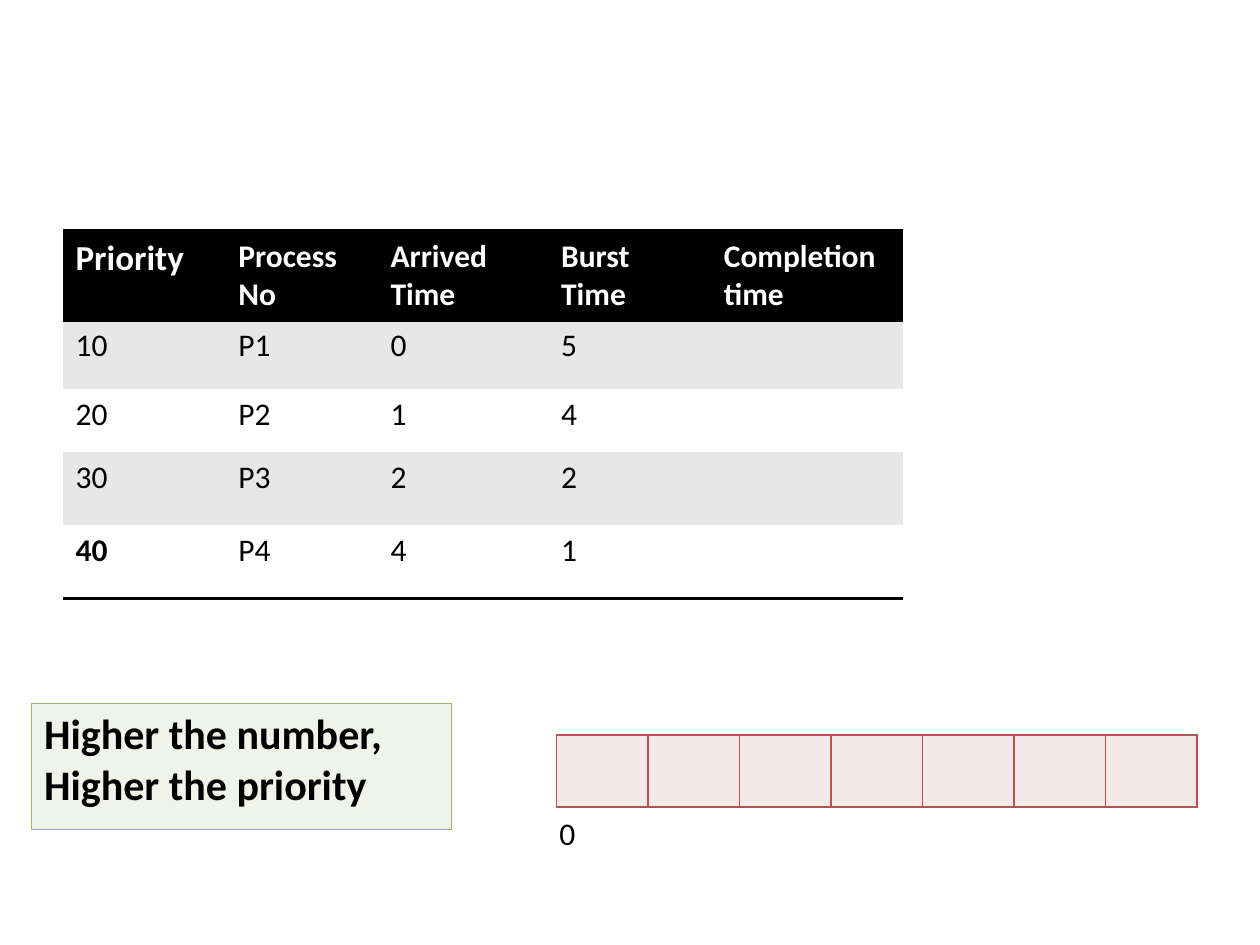
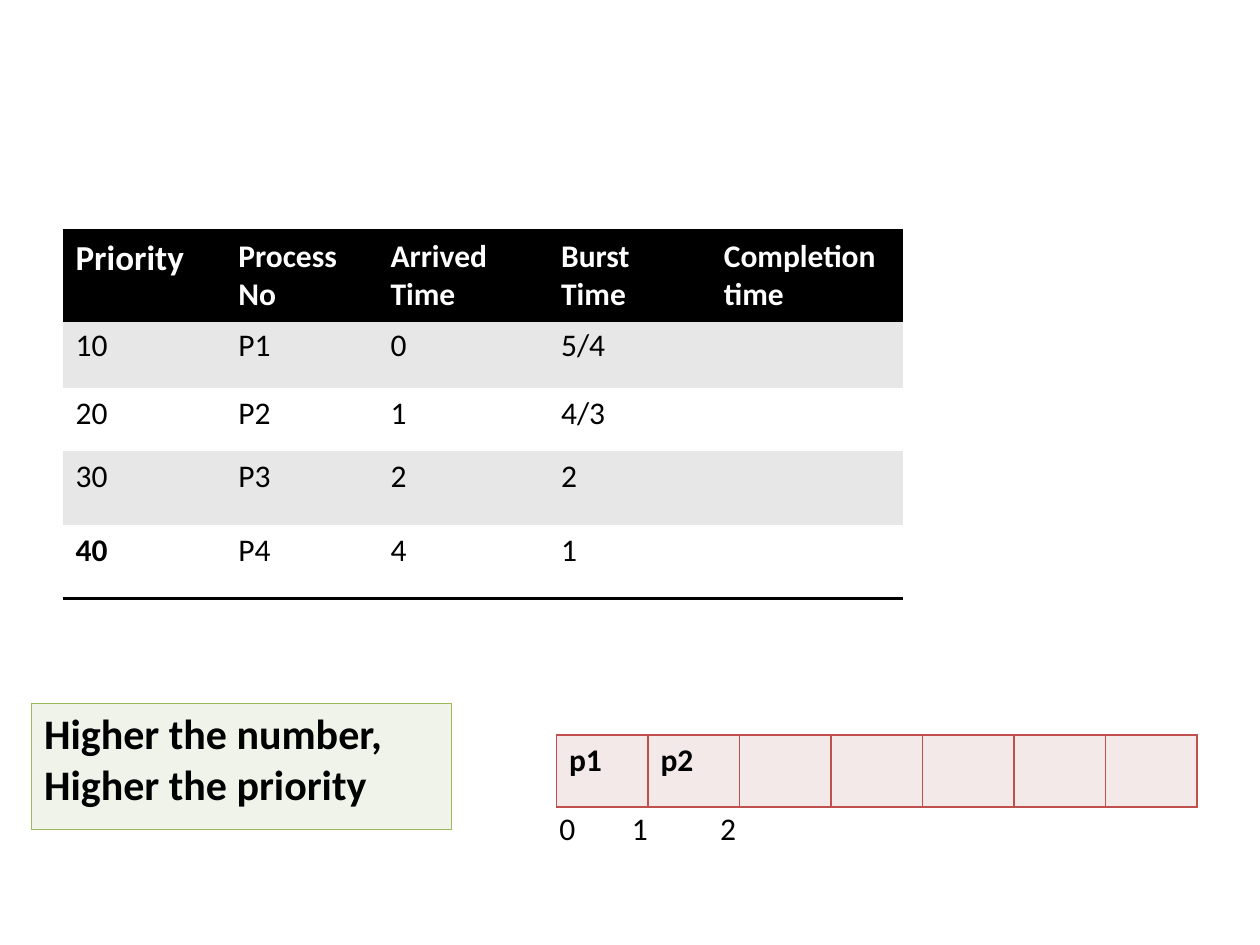
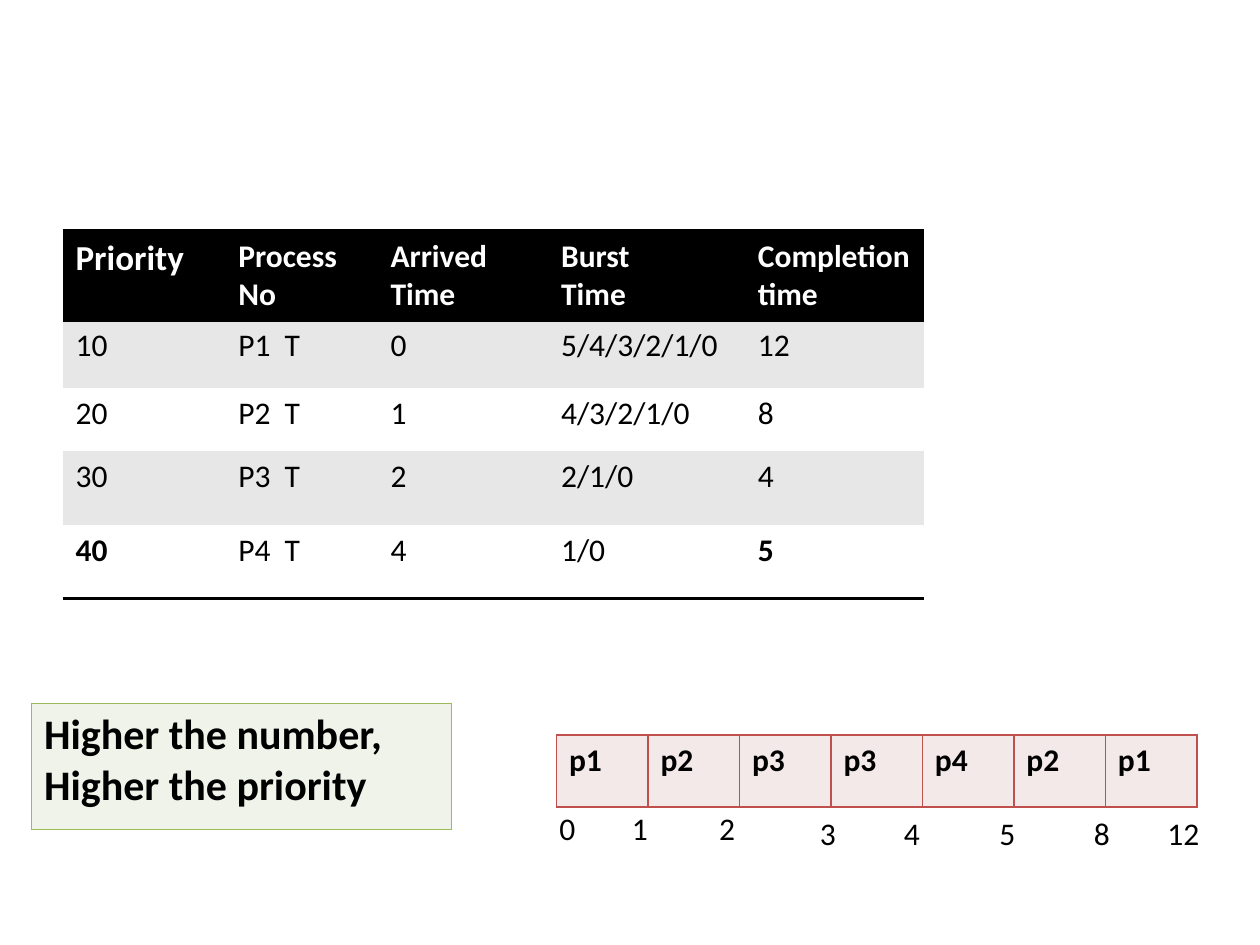
"""Build three slides that step through priority scheduling on a 120 by 90 grid."""
from dataclasses import dataclass

from lxml.etree import SubElement
from pptx import Presentation
from pptx.dml.color import RGBColor
from pptx.enum.text import MSO_AUTO_SIZE
from pptx.oxml.ns import qn
from pptx.util import Inches, Pt


@dataclass(frozen=True)
class Theme:
    font: str = "Calibri"
    ink: str = "000000"
    paper: str = "FFFFFF"
    band: str = "E7E7E7"
    note: str = "EFF3EA"
    note_edge: str = "9BBB59"
    slot: str = "F4E9E9"
    slot_edge: str = "C0504D"
    text: int = 18
    head: int = 20
    large: int = 24
    rule: int = 2
    thin: int = 1


THEME = Theme()
PLAIN = "{2D5ABB26-0587-4C30-8999-92F81FD0307C}"
ROWS = (8.5, 6.5, 6, 7, 7)
WIDE = (15.5, 14.5, 16.25, 15.5, 18.25)
FULL = (15.5, 14.5, 16.25, 18.75, 17)
SLOTS = 7
HIGH, LOW = 76.45, 76.9
START = [("0", 52.1, HIGH), ("1", 59, HIGH)]


def unit(count):
    """Turn grid steps into a length."""
    return Inches(count / 12)


def write(frame, text, size, color=THEME.ink, bold=False):
    """Put each line of text into its own paragraph."""
    for index, line in enumerate(text.split("\n")):
        para = frame.add_paragraph() if index else frame.paragraphs[0]
        run = para.add_run()
        run.text = line
        run.font.name = THEME.font
        run.font.size = Pt(size)
        run.font.bold = bold
        run.font.color.rgb = RGBColor.from_string(color)


def edge(cell, sides, color, width):
    """Draw the borders of a cell, sides in the order L, R, T, B."""
    props = cell._tc.get_or_add_tcPr()
    for side in sides:
        line = SubElement(props, qn(f"a:ln{side}"), w=str(Pt(width)))
        fill = SubElement(line, qn("a:solidFill"))
        SubElement(fill, qn("a:srgbClr"), val=color)


def paint(cell, color):
    """Fill a cell with one colour."""
    cell.fill.solid()
    cell.fill.fore_color.rgb = RGBColor.from_string(color)


def grid(slide, left, top, cols, rows):
    """Add a table without style, sized by grid steps."""
    frame = slide.shapes.add_table(len(rows), len(cols), unit(left), unit(top),
                                   unit(sum(cols)), unit(sum(rows)))
    table = frame.table
    table.horz_banding = False
    table._tbl.tblPr.find(qn("a:tableStyleId")).text = PLAIN
    for col, width in zip(table.columns, cols):
        col.width = unit(width)
    for row, height in zip(table.rows, rows):
        row.height = unit(height)
    return table


def jobs(slide, cols, names, bursts, ends, burst_head):
    """Add the table of processes."""
    table = grid(slide, 6, 22, cols, ROWS)
    heads = ("Priority", "Process No", "Arrived Time", burst_head, "Completion time")
    for index, text in enumerate(heads):
        cell = table.cell(0, index)
        edge(cell, "TB", THEME.ink, THEME.rule)
        paint(cell, THEME.ink)
        size = THEME.text if index else THEME.head
        write(cell.text_frame, text, size, THEME.paper, True)
    lines = zip(("10", "20", "30", "40"), names, ("0", "1", "2", "4"), bursts, ends)
    for row, line in enumerate(lines, 1):
        last = row == len(ROWS) - 1
        for col, text in enumerate(line):
            cell = table.cell(row, col)
            if last:
                edge(cell, "B", THEME.ink, THEME.rule)
            paint(cell, THEME.band if row % 2 else THEME.paper)
            if text:
                bold = last and col in (0, len(cols) - 1)
                write(cell.text_frame, text, THEME.text, bold=bold)


def note(slide):
    """Add the boxed rule on priority."""
    cell = grid(slide, 3, 67, (40,), (12,)).cell(0, 0)
    edge(cell, "LRTB", THEME.note_edge, THEME.thin)
    paint(cell, THEME.note)
    write(cell.text_frame, "Higher the number,\nHigher the priority", THEME.large, bold=True)


def chart(slide, order, marks):
    """Add the strip of time slots and the times below it."""
    table = grid(slide, 53, 70, (61 / SLOTS,) * SLOTS, (6.85,))
    for index in range(SLOTS):
        cell = table.cell(0, index)
        edge(cell, "LRTB", THEME.slot_edge, THEME.thin)
        paint(cell, THEME.slot)
        if index < len(order):
            write(cell.text_frame, order[index], THEME.text, bold=True)
    for text, left, top in marks:
        width = 4 if len(text) == 1 else 5.5
        box = slide.shapes.add_textbox(unit(left), unit(top), unit(width), unit(4.8))
        box.text_frame.word_wrap = False
        box.text_frame.auto_size = MSO_AUTO_SIZE.SHAPE_TO_FIT_TEXT
        write(box.text_frame, text, THEME.text)


def step(deck, bursts, order, marks, cols=WIDE, tag="", ends=("",) * 4,
         burst_head="Burst Time"):
    """Add one slide of the schedule."""
    slide = deck.slides.add_slide(deck.slide_layouts[6])
    names = [f"P{number}{tag}" for number in range(1, 5)]
    jobs(slide, cols, names, bursts, ends, burst_head)
    note(slide)
    chart(slide, order, marks)


def main():
    """Build and save the deck."""
    deck = Presentation()
    deck.slide_width, deck.slide_height = unit(120), unit(90)
    step(deck, ("5", "4", "2", "1"), (), [("0", 52.1, LOW)])
    step(deck, ("5/4", "4/3", "2", "1"), ("p1", "p2"), START + [("2", 67.4, HIGH)])
    late = zip(("3", "4", "5", "8", "12"), (76.9, 84.9, 94, 103, 110))
    marks = START + [("2", 67.3, HIGH)] + [(text, left, LOW) for text, left in late]
    step(deck, ("5/4/3/2/1/0", "4/3/2/1/0", "2/1/0", "1/0"),
         ("p1", "p2", "p3", "p3", "p4", "p2", "p1"), marks, cols=FULL, tag="  T",
         ends=("12", "8", "4", "5"), burst_head="Burst\nTime")
    deck.save("out.pptx")


if __name__ == "__main__":
    main()
